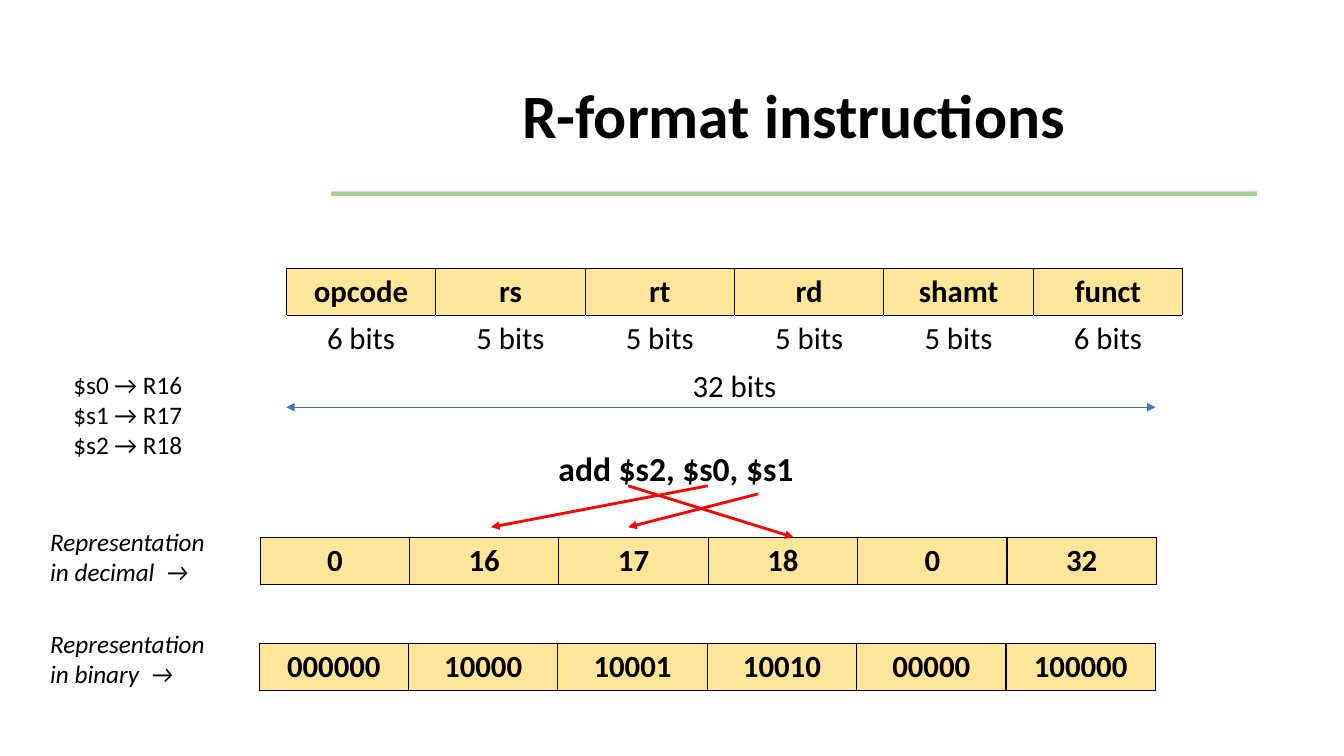
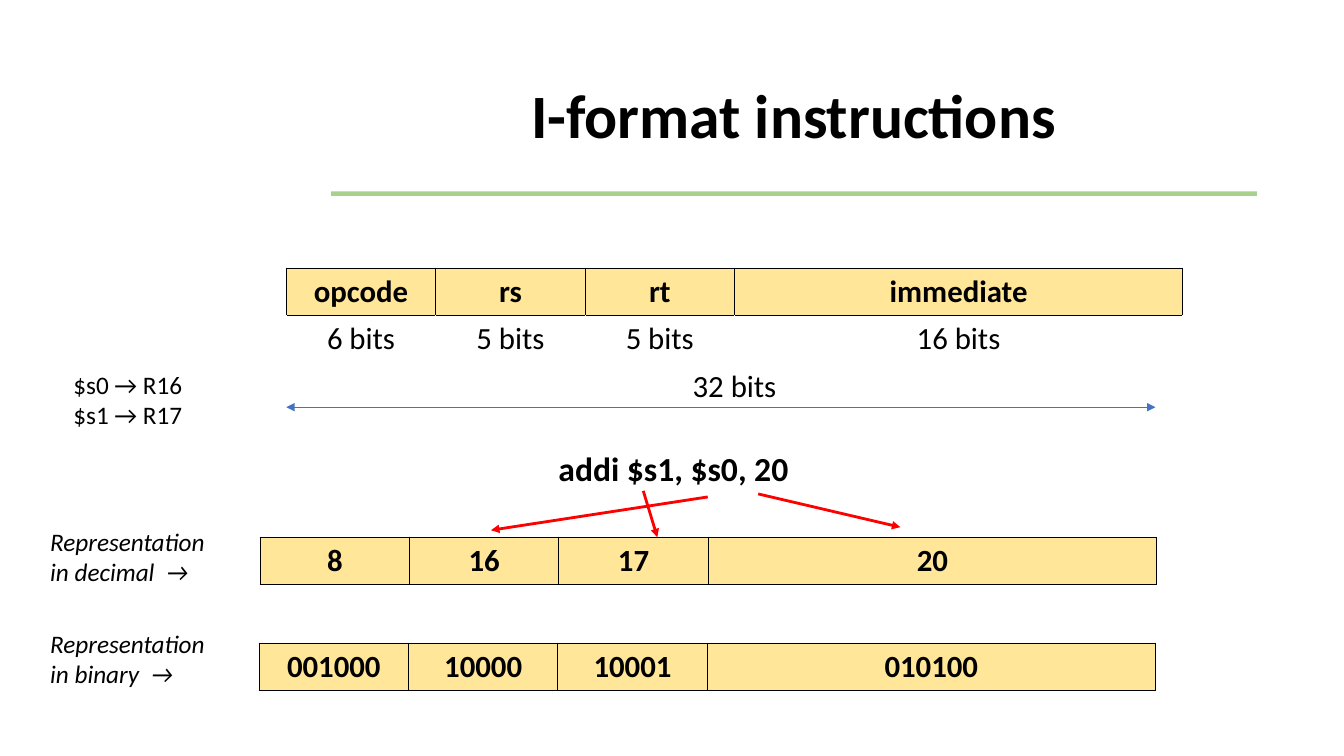
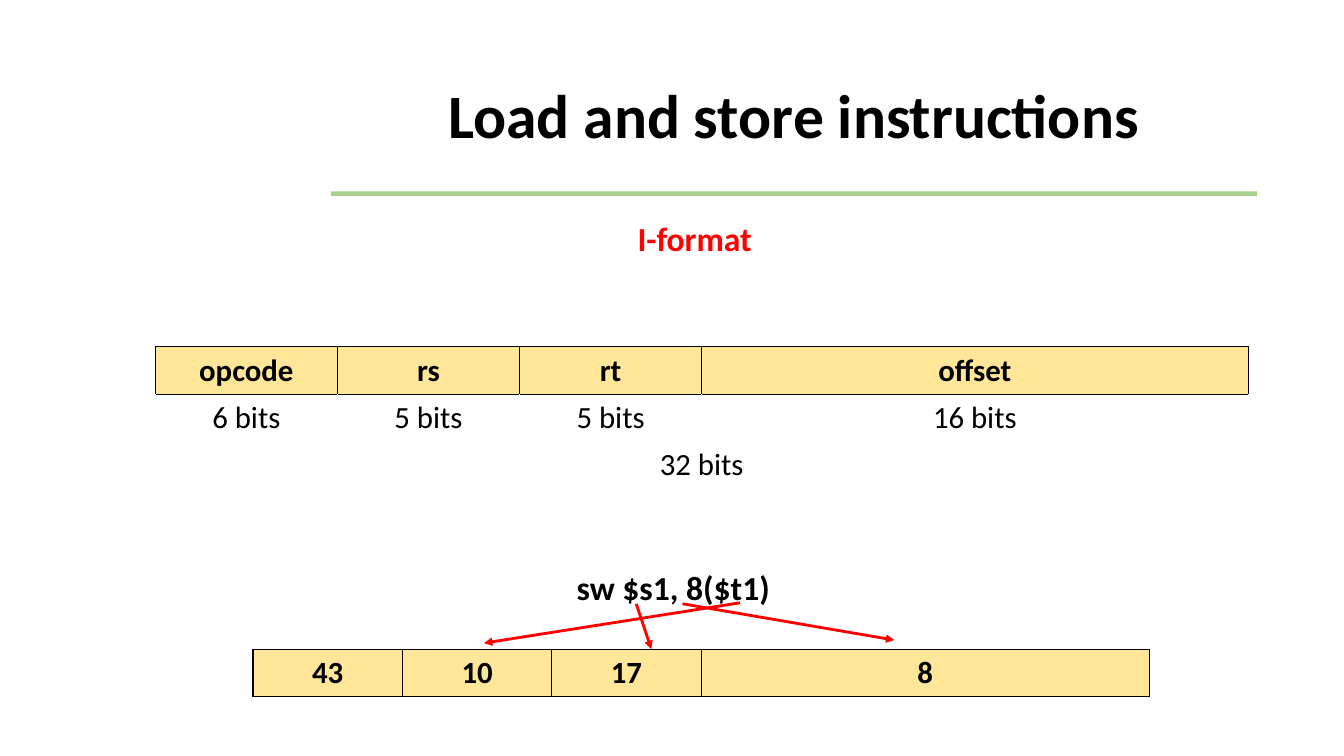
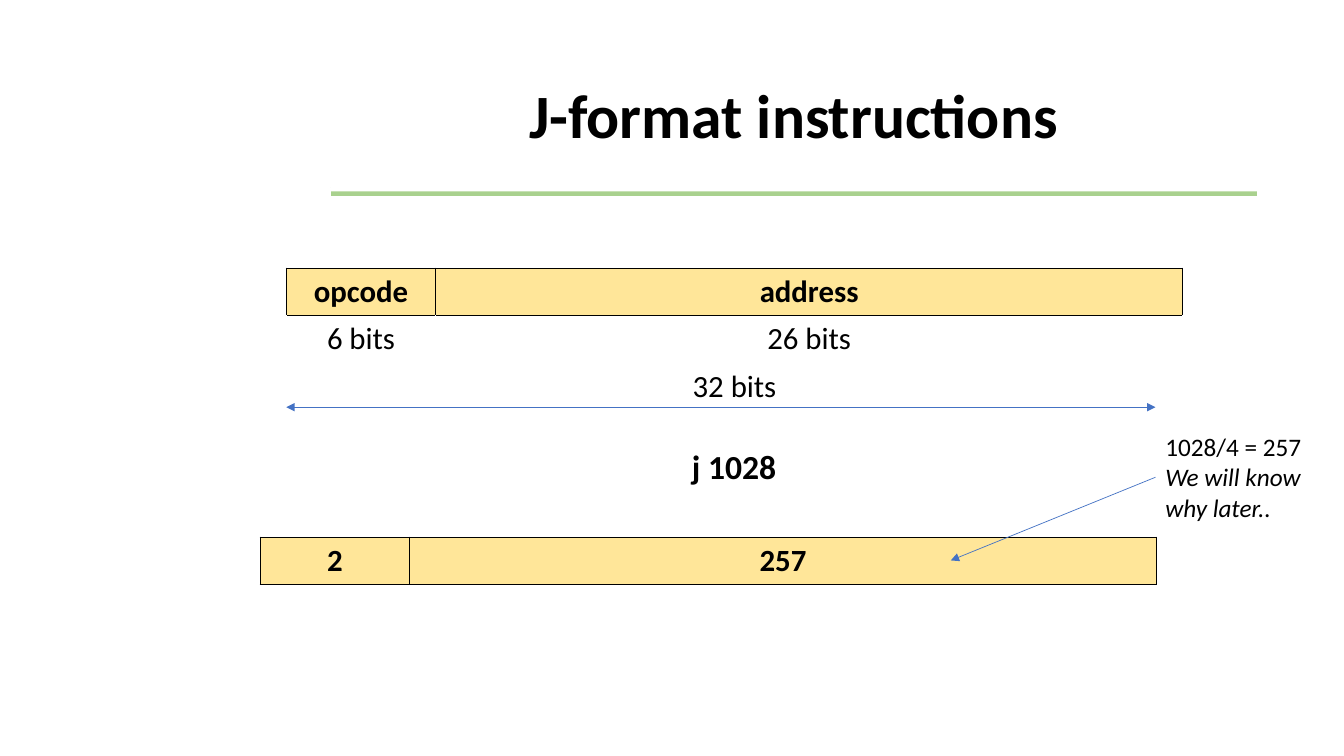
from lxml.etree import SubElement
from pptx import Presentation
from pptx.dml.color import RGBColor
from pptx.enum.shapes import MSO_CONNECTOR
from pptx.enum.text import MSO_ANCHOR, PP_ALIGN
from pptx.oxml.ns import qn
from pptx.util import Inches, Pt

COLORS = {"text": "000000", "paper": "FFFFFF", "field": "FFE699",
          "rule": "A9D18E", "pointer": "FF0000", "measure": "4472C4"}
FONT = "Calibri"
ROW_H = 0.47
FORMAT_BOX = (2.84, 2.66, 8.89)
DECIMAL_BOX = (2.58, 5.33, 8.89)
BINARY_BOX = (2.57, 6.38, 8.89)


def rgb(name):
    """Return the named colour."""
    return RGBColor.from_string(COLORS[name])


def style(p, size, color="text", bold=False, italic=False, align=PP_ALIGN.LEFT):
    """Set the font and alignment of a paragraph."""
    p.alignment = align
    p.font.name, p.font.size = FONT, Pt(size)
    p.font.bold, p.font.italic = bold, italic
    p.font.color.rgb = rgb(color)


def text(s, box, lines, size, **look):
    """Add a wrapping text box with one paragraph per line."""
    sp = s.shapes.add_textbox(*map(Inches, box))
    tf = sp.text_frame
    tf.word_wrap = True
    tf.text = "\n".join(lines)
    for p in tf.paragraphs:
        style(p, size, **look)
    return sp


def line(s, start, end, color, width, ends=()):
    """Add a straight line with triangles at the given ends."""
    cx = s.shapes.add_connector(MSO_CONNECTOR.STRAIGHT, *map(Inches, start + end))
    cx.line.color.rgb = rgb(color)
    cx.line.width = Pt(width)
    spPr = cx._element.spPr
    ln = spPr.find(qn("a:ln"))
    for end_name in ends:
        SubElement(ln, qn(f"a:{end_name}"), type="triangle")
    SubElement(spPr, qn("a:effectLst"))
    return cx


def style_cell(cell, fill, borders, bold):
    """Set the borders (left, right, top, bottom), fill and font of a cell."""
    tcPr = cell._tc.get_or_add_tcPr()
    for side, color in zip("LRTB", borders):
        ln = SubElement(tcPr, qn(f"a:ln{side}"), w=str(Pt(1)))
        SubElement(SubElement(ln, qn("a:solidFill")), qn("a:srgbClr"), val=COLORS[color])
    cell.fill.solid()
    cell.fill.fore_color.rgb = rgb(fill)
    style(cell.text_frame.paragraphs[0], 22, bold=bold, align=PP_ALIGN.CENTER)


def field_table(s, box, spans, fields, bits=None):
    """Add a row of fields, with rows for their bits and the total if bits are given."""
    left, top, width = box
    rows = [fields]
    if bits:
        total = ["32 bits"] + [""] * (len(spans) - 1)
        rows += [[f"{n} bits" for n in bits], total]
    frame = s.shapes.add_table(len(rows), len(spans), Inches(left), Inches(top),
                               Inches(width), Inches(ROW_H * len(rows)))
    table = frame.table
    table.first_row = table.horz_banding = False
    for col, span in zip(table.columns, spans):
        col.width = Inches(width * span / sum(spans))
    looks = [("field", ["text"] * 4, True),
             ("paper", ["paper", "paper", "text", "paper"], False),
             ("paper", ["paper"] * 4, False)]
    for r, (row, look) in enumerate(zip(rows, looks)):
        table.rows[r].height = Inches(ROW_H)
        for c, value in enumerate(row):
            cell = table.cell(r, c)
            cell.text = value
            style_cell(cell, *look)
    if bits:
        table.cell(2, 0).merge(table.cell(2, len(spans) - 1))


def titled_slide(prs, title):
    """Add a blank slide with the shared rule and title."""
    s = prs.slides.add_slide(prs.slide_layouts[6])
    line(s, (3.28, 1.9), (12.47, 1.9), "rule", 6)
    sp = text(s, (3.28, 0.45, 9.19, 1.45), [title], 44, bold=True, align=PP_ALIGN.CENTER)
    sp.fill.solid()
    sp.fill.fore_color.rgb = rgb("paper")
    sp.text_frame.vertical_anchor = MSO_ANCHOR.MIDDLE
    sp.text_frame.paragraphs[0].line_spacing = 0.9
    return s


def instruction(s, left, top, code, align=PP_ALIGN.LEFT, color="text"):
    """Add a bold line of code or a heading."""
    text(s, (left, top, 3.68, 0.5), [code], 24, bold=True, align=align, color=color)


def pointers(s, ends):
    """Add red arrows from operands to fields."""
    for start, end in ends:
        line(s, start, end, "pointer", 2, ["tailEnd"])


def format_table(s, spans, fields, bits):
    """Add the table of a format and the arrow that measures it."""
    field_table(s, FORMAT_BOX, spans, fields, bits)
    line(s, (2.84, 4.04), (11.46, 4.04), "measure", 0.5, ["headEnd", "tailEnd"])


def encoding_slide(prs, title, spans, fields, bits, registers, code, decimal, binary, arrows):
    """Add a slide that encodes an instruction in decimal and in binary."""
    s = titled_slide(prs, title)
    instruction(s, 5.44, 4.39, code)
    format_table(s, spans, fields, bits)
    names = [f"{name} → {number}" for name, number in registers]
    text(s, (0.63, 3.61, 1.93, 0.11 + 0.3 * len(names)), names, 18)
    for base, box, values in (("decimal", DECIMAL_BOX, decimal), ("binary", BINARY_BOX, binary)):
        field_table(s, box, spans, values)
        label_top = 5.17 if base == "decimal" else 6.18
        text(s, (0.4, label_top, 1.93, 0.71), [f"Representation in {base}  →"], 18, italic=True)
    pointers(s, arrows)


def load_store_slide(prs):
    """Add the slide on load and store instructions."""
    s = titled_slide(prs, "Load and store instructions")
    spans = [1, 1, 1, 3]
    instruction(s, 5.62, 5.58, "sw $s1, 8($t1)")
    instruction(s, 5.05, 2.11, "I-format", PP_ALIGN.CENTER, "pointer")
    field_table(s, (1.54, 3.44, 10.84), spans, ["opcode", "rs", "rt", "offset"], [6, 5, 5, 16])
    field_table(s, (2.51, 6.44, 8.89), spans, ["43", "10", "17", "8"])
    pointers(s, [((7.34, 5.98), (4.8, 6.38)),
                 ((6.77, 5.99), (8.87, 6.35)),
                 ((6.31, 5.99), (6.46, 6.44))])


def jump_slide(prs):
    """Add the slide on jump instructions."""
    s = titled_slide(prs, "J-format instructions")
    spans = [1, 5]
    instruction(s, 5.44, 4.37, "j 1028", PP_ALIGN.CENTER)
    format_table(s, spans, ["opcode", "address"], [6, 26])
    field_table(s, DECIMAL_BOX, spans, ["2", "257"])
    note = text(s, (11.46, 4.23, 1.57, 1.01), ["1028/4 = 257", "We will know why later.."], 18)
    note.text_frame.paragraphs[1].font.italic = True
    cx = line(s, (11.46, 4.74), (9.43, 5.56), "measure", 0.5, ["tailEnd"])
    cx.begin_connect(note, 1)


def main():
    """Build and save the presentation."""
    prs = Presentation()
    prs.slide_width, prs.slide_height = Inches(13.33), Inches(7.5)
    encoding_slide(
        prs, "R-format instructions", [1] * 6,
        ["opcode", "rs", "rt", "rd", "shamt", "funct"], [6, 5, 5, 5, 5, 6],
        [("$s0", "R16"), ("$s1", "R17"), ("$s2", "R18")], "add $s2, $s0, $s1",
        ["0", "16", "17", "18", "0", "32"],
        ["000000", "10000", "10001", "10010", "00000", "100000"],
        [((7.02, 4.82), (4.87, 5.23)),
         ((7.52, 4.9), (6.23, 5.23)),
         ((6.23, 4.82), (7.87, 5.33))])
    encoding_slide(
        prs, "I-format instructions", [1, 1, 1, 3],
        ["opcode", "rs", "rt", "immediate"], [6, 5, 5, 16],
        [("$s0", "R16"), ("$s1", "R17")], "addi $s1, $s0, 20",
        ["8", "16", "17", "20"], ["001000", "10000", "10001", "010100"],
        [((7.02, 4.93), (4.87, 5.26)),
         ((7.52, 4.9), (8.93, 5.23)),
         ((6.38, 4.87), (6.52, 5.33))])
    load_store_slide(prs)
    jump_slide(prs)
    prs.save("out.pptx")


if __name__ == "__main__":
    main()
